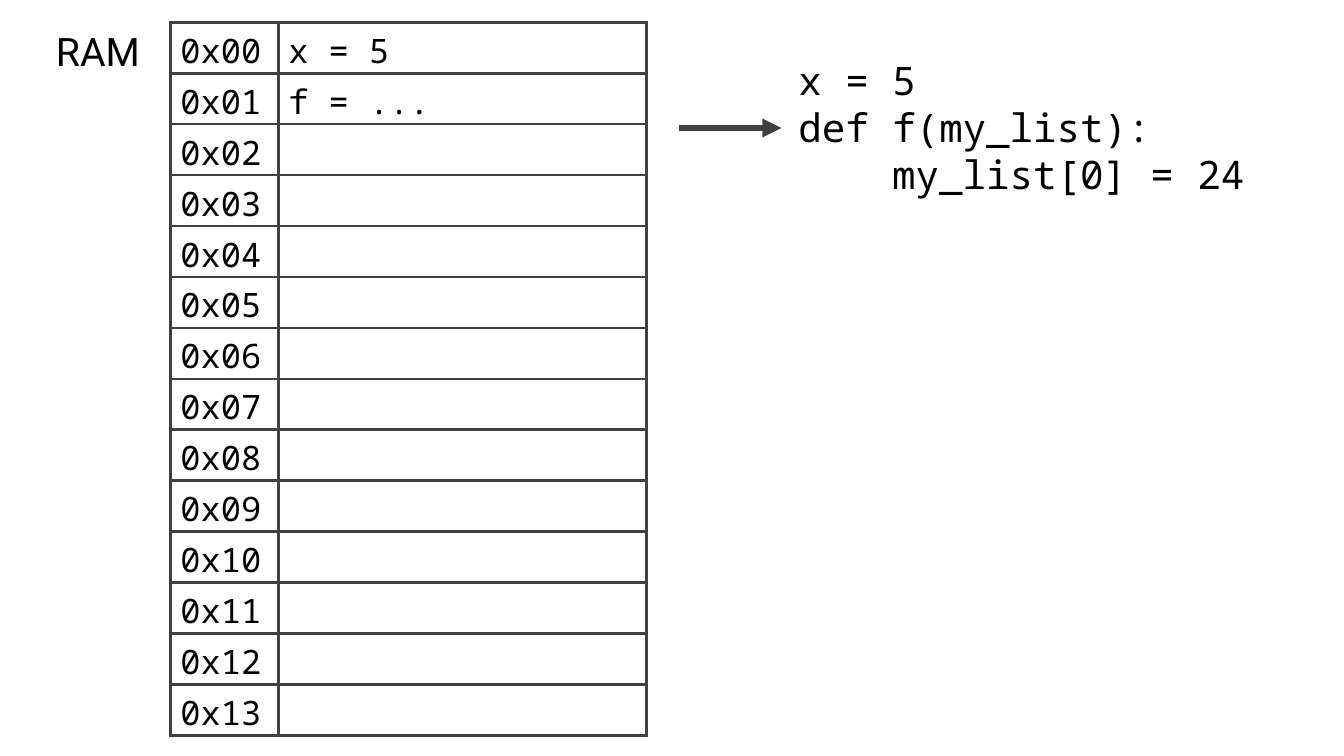
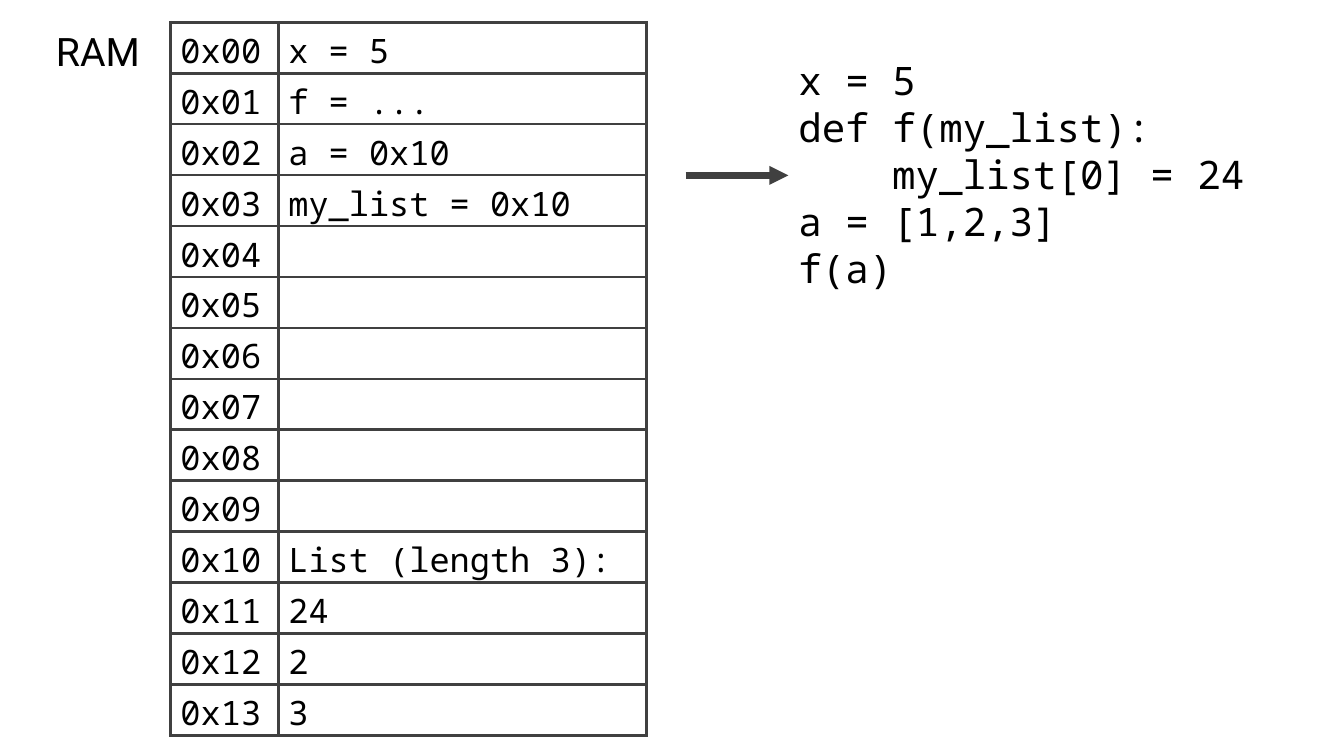
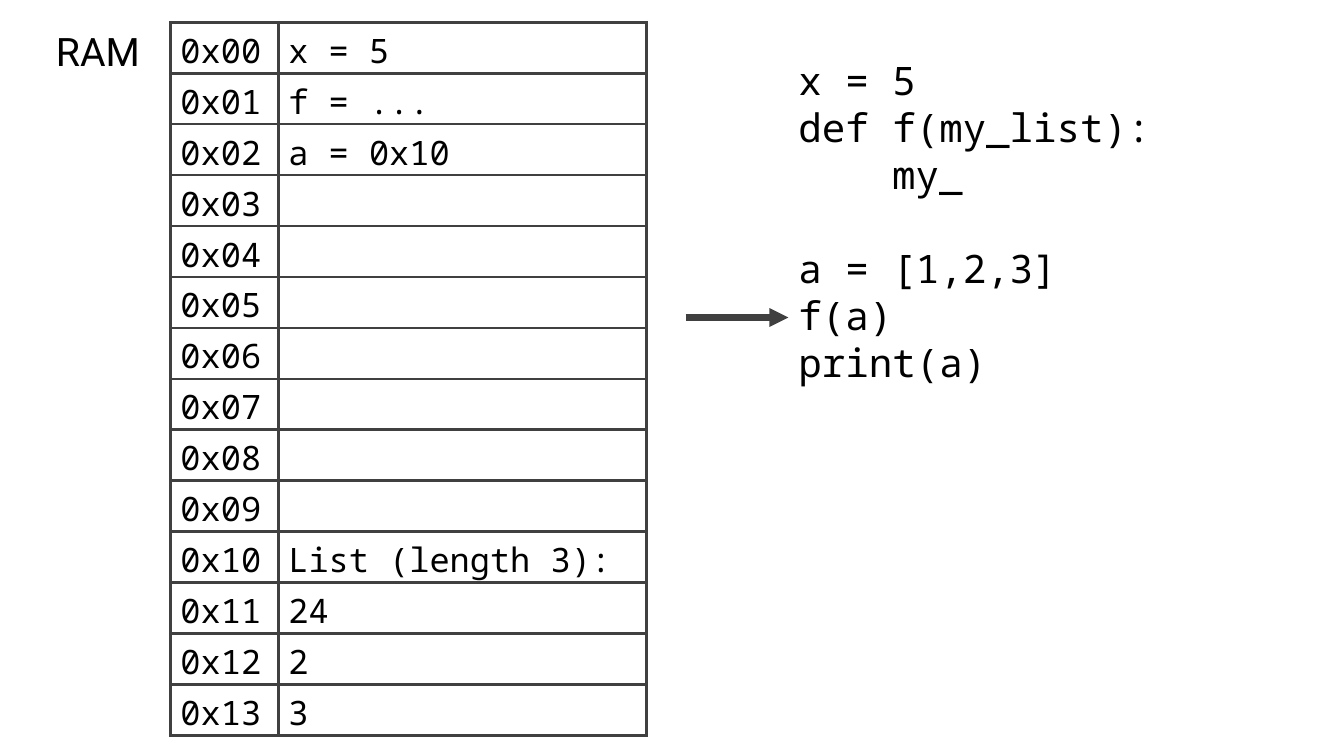
from dataclasses import dataclass

from lxml import etree
from pptx import Presentation
from pptx import util as u
from pptx.dml import color
from pptx.enum import shapes, text
from pptx.oxml import ns


# Colours, fonts and sizes
@dataclass
class Theme:
    ink: color.RGBColor = color.RGBColor(0, 0, 0)
    rule: str = "404040"
    sans: str = "Roboto"
    mono: str = "Noto Sans Mono"
    big: float = 28
    cell: float = 24
    edge: float = 2.25
    arrow: float = 4.5


look = Theme()


def write(par, words, face, size):
    run = par.add_run()
    run.text = words
    run.font.name = face
    run.font.size = u.Pt(size)
    run.font.color.rgb = look.ink


def add_box(slide, left, top, width, height):
    box = slide.shapes.add_textbox(*map(u.Inches, (left, top, width, height)))
    frame = box.text_frame
    frame.word_wrap = True
    frame.auto_size = text.MSO_AUTO_SIZE.SHAPE_TO_FIT_TEXT
    return frame


# Memory layout and code layout
slots = 14
names = [f"0x{slot:02d}" for slot in range(slots)]
pitch = 0.47
indent = 0.93
gap = 33.6

# Contents: memory by address, code as (indent level, words, gap above)
start = {"0x00": "x = 5", "0x01": "f = ..."}
stored = start | {"0x02": "a = 0x10", "0x10": "List (length 3):",
                  "0x11": "24", "0x12": "2", "0x13": "3"}
head = [(0, "x = 5", 0), (0, "def f(my_list):", 0)]
body = head + [(1, "my_list[0] = 24", 0)]
steps = [
    # memory, code, arrow line, arrow start
    (start, body, 1, 6.73),
    (stored | {"0x03": "my_list = 0x10"},
     body + [(0, "a = [1,2,3]", 0), (0, "f(a)", 0)], 2, 6.8),
    (stored,
     head + [(1, "my_", 0), (0, "a = [1,2,3]", gap), (0, "f(a)", 0),
             (0, "print(a)", 0)], 5, 6.8),
]

deck = Presentation()
deck.slide_width = u.Inches(13.33)
deck.slide_height = u.Inches(7.5)

for memory, code, line, left in steps:
    slide = deck.slides.add_slide(deck.slide_layouts[6])

    # Memory label
    label = add_box(slide, 0.33, 0.22, 1.28, 0.57).paragraphs[0]
    label.alignment = text.PP_ALIGN.CENTER
    write(label, "RAM", look.sans, look.big)

    # Memory table
    table = slide.shapes.add_table(
        slots, 2, u.Inches(1.69), u.Inches(0.22),
        u.Inches(4.72), u.Inches(7.08)).table
    table.first_row = table.horz_banding = False
    table.columns[0].width = u.Inches(1.07)
    table.columns[1].width = u.Inches(3.65)
    for row, name in enumerate(names):
        for col, words in enumerate((name, memory.get(name))):
            cell = table.cell(row, col)
            props = cell._tc.get_or_add_tcPr()
            for side in ("lnL", "lnR", "lnT", "lnB"):
                edge = etree.SubElement(props, ns.qn("a:" + side),
                                        w=str(u.Pt(look.edge)))
                fill = etree.SubElement(edge, ns.qn("a:solidFill"))
                etree.SubElement(fill, ns.qn("a:srgbClr"), val=look.rule)
            cell.fill.background()
            if words:
                write(cell.text_frame.paragraphs[0], words,
                      look.mono, look.cell)

    # Code
    rows = len(code) + sum(space > 0 for _, _, space in code)
    frame = add_box(slide, 7.82, 0.51, 5.18, 0.1 + pitch * rows)
    for spot, (level, words, space) in enumerate(code):
        par = frame.add_paragraph() if spot else frame.paragraphs[0]
        par.space_before = u.Pt(space)
        if level:
            par._p.get_or_add_pPr().set("marL", str(u.Inches(indent * level)))
        write(par, words, look.mono, look.big)

    # Arrow at the current line
    level = u.Inches(0.8 + pitch * line)
    arrow = slide.shapes.add_connector(
        shapes.MSO_CONNECTOR.STRAIGHT, u.Inches(left), level,
        u.Inches(left + 1.02), level)
    arrow.line.color.rgb = color.RGBColor.from_string(look.rule)
    arrow.line.width = u.Pt(look.arrow)
    props = arrow._element.spPr
    etree.SubElement(props.find(ns.qn("a:ln")), ns.qn("a:tailEnd"),
                     type="triangle")
    etree.SubElement(props, ns.qn("a:effectLst"))

deck.save("out.pptx")
